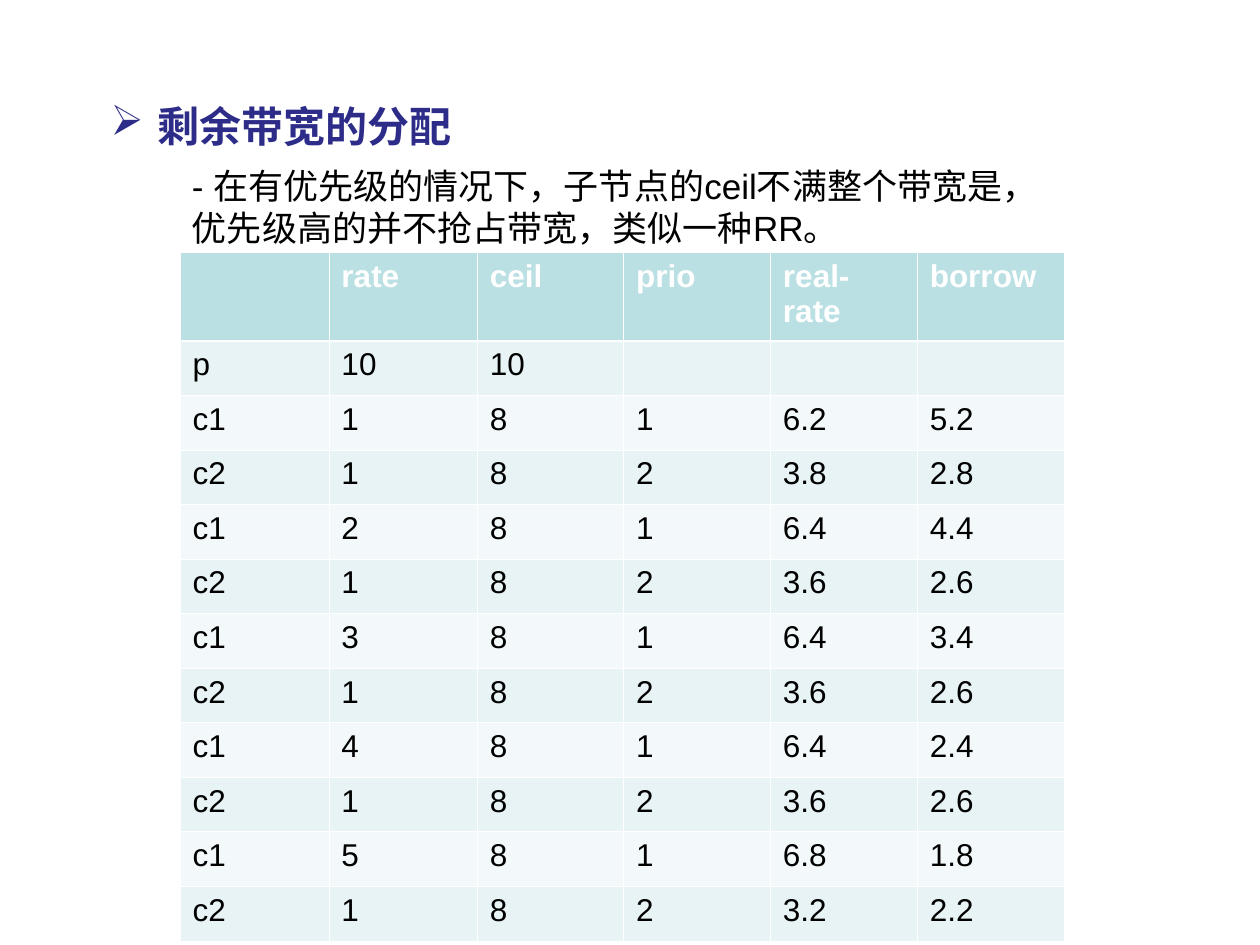
from lxml import etree
from pptx import Presentation
from pptx.dml.color import RGBColor
from pptx.oxml.ns import qn
from pptx.util import Cm, Pt

NAVY = RGBColor(0x2D, 0x2D, 0x89)
BLACK = RGBColor(0x00, 0x00, 0x00)
WHITE = RGBColor(0xFF, 0xFF, 0xFF)
TEAL = RGBColor(0xBB, 0xE0, 0xE3)
MIST = RGBColor(0xE7, 0xF3, 0xF4)
PALE = RGBColor(0xF3, 0xF9, 0xFA)


def style(para, size, color, bold=False):
    para.font.name = "Arial"
    para.font.size = Pt(size)
    para.font.bold = bold
    para.font.color.rgb = color


def edge(cell, side, width):
    props = cell._tc.get_or_add_tcPr()
    line = etree.SubElement(props, qn(f"a:ln{side}"), w=str(Pt(width)))
    fill = etree.SubElement(line, qn("a:solidFill"))
    etree.SubElement(fill, qn("a:srgbClr"), val=str(WHITE))


prs = Presentation()
prs.slide_width = Cm(25.4)
prs.slide_height = Cm(19.05)
slide = prs.slides.add_slide(prs.slide_layouts[6])

title = slide.shapes.add_textbox(Cm(1.98), Cm(1.9), Cm(8.76), Cm(1.28))
title.text_frame.word_wrap = True
para = title.text_frame.paragraphs[0]
para.text = "剩余带宽的分配"
style(para, 24, NAVY, True)
props = para._p.get_or_add_pPr()
props.set("marL", str(Cm(0.95)))
props.set("indent", str(Cm(-0.95)))
tint = etree.Element(qn("a:buClr"))
etree.SubElement(tint, qn("a:srgbClr"), val=str(NAVY))
mark = etree.Element(qn("a:buChar"), char="➢")
props.insert(0, tint)
props.insert(1, mark)

note = slide.shapes.add_textbox(Cm(3.62), Cm(3.2), Cm(17.35), Cm(1.96))
note.text_frame.word_wrap = True
para = note.text_frame.paragraphs[0]
para.text = "- 在有优先级的情况下，子节点的ceil不满整个带宽是，优先级高的并不抢占带宽，类似一种RR。"
style(para, 20, BLACK)

rows = [
    ["", "rate", "ceil", "prio", "real-rate", "borrow"],
    ["p", "10", "10", "", "", ""],
    ["c1", "1", "8", "1", "6.2", "5.2"],
    ["c2", "1", "8", "2", "3.8", "2.8"],
    ["c1", "2", "8", "1", "6.4", "4.4"],
    ["c2", "1", "8", "2", "3.6", "2.6"],
    ["c1", "3", "8", "1", "6.4", "3.4"],
    ["c2", "1", "8", "2", "3.6", "2.6"],
    ["c1", "4", "8", "1", "6.4", "2.4"],
    ["c2", "1", "8", "2", "3.6", "2.6"],
    ["c1", "5", "8", "1", "6.8", "1.8"],
    ["c2", "1", "8", "2", "3.2", "2.2"],
]
widths = [3.0, 2.99, 2.95, 2.96, 2.96, 2.96]

frame = slide.shapes.add_table(
    len(rows), len(widths), Cm(3.63), Cm(5.09), Cm(sum(widths)), Cm(13.86)
)
table = frame.table
for col, width in zip(table.columns, widths):
    col.width = Cm(width)
for r, row in enumerate(rows):
    head = r == 0
    table.rows[r].height = Cm(1.76 if head else 1.1)
    fill = TEAL if head else MIST if r % 2 else PALE
    for c, text in enumerate(row):
        cell = table.cell(r, c)
        para = cell.text_frame.paragraphs[0]
        para.text = text
        style(para, 18, WHITE if head else BLACK, head)
        edge(cell, "L", 0.45)
        edge(cell, "R", 0.45)
        edge(cell, "T", 1.47 if r == 1 else 0.45)
        edge(cell, "B", 1.47 if head else 0.45)
        cell.fill.solid()
        cell.fill.fore_color.rgb = fill

prs.save("out.pptx")
